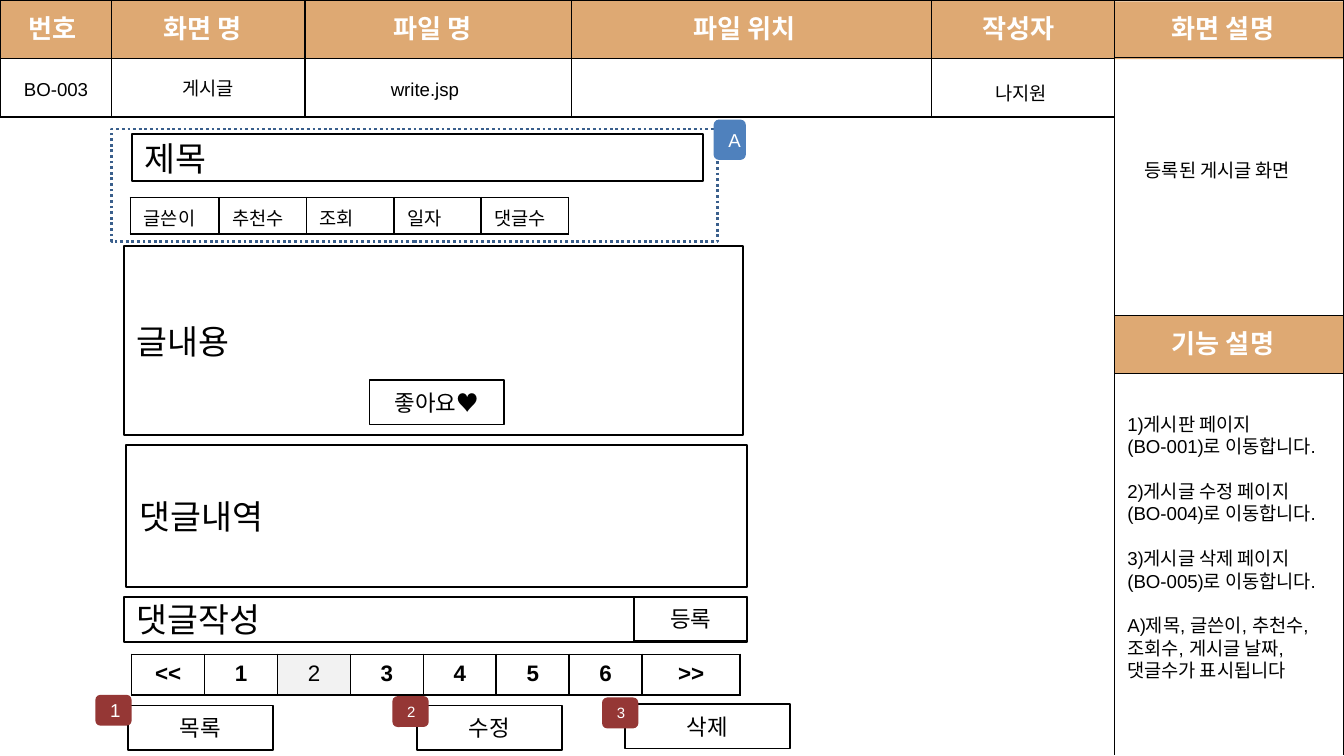
from itertools import accumulate

from lxml import etree
from pptx import Presentation
from pptx.dml.color import RGBColor
from pptx.enum.dml import MSO_LINE
from pptx.enum.shapes import MSO_SHAPE as SHAPE
from pptx.enum.text import MSO_ANCHOR as ANCHOR, PP_ALIGN as ALIGN
from pptx.oxml.ns import qn
from pptx.util import Inches, Pt

TAN, BLACK, WHITE = "DEA973", "000000", "FFFFFF"
GRAY, RED, BLUE, NAVY = "F2F2F2", "953735", "4F81BD", "3A5F8C"
KOREAN = "Noto Sans CJK KR"


def rgb(value):
    """Return the colour for a hex string."""
    return RGBColor.from_string(value)


def style(p, size, font="Arial", color=BLACK, bold=False, align=ALIGN.LEFT):
    """Format the runs of a paragraph."""
    p.alignment = align
    for r in p.runs:
        r.font.size, r.font.name, r.font.bold = Pt(size), font, bold
        r.font.color.rgb = rgb(color)


def paint(sp, fill=None, line=None, width=1):
    """Set the fill and the line of a shape."""
    sp.shadow.inherit = False
    if fill:
        sp.fill.solid()
        sp.fill.fore_color.rgb = rgb(fill)
    else:
        sp.fill.background()
    if line:
        sp.line.color.rgb = rgb(line)
        sp.line.width = Pt(width)
    else:
        sp.line.fill.background()


def add_box(s, box, text="", size=12, fill=WHITE, line=BLACK, width=1,
            kind=SHAPE.RECTANGLE, **text_style):
    """Add a preset shape with one line of text centred vertically."""
    sp = s.shapes.add_shape(kind, *map(Inches, box))
    paint(sp, fill, line, width)
    if text:
        tf = sp.text_frame
        tf.vertical_anchor = ANCHOR.MIDDLE
        tf.text = text
        style(tf.paragraphs[0], size, **text_style)
    return sp


def add_outline(s, contours, closed=False, **look):
    """Add one freeform made of several contours."""
    builder = None
    for contour in contours:
        start, *rest = [tuple(map(Inches, point)) for point in contour]
        if builder:
            builder.move_to(*start)
        else:
            builder = s.shapes.build_freeform(*start)
        builder.add_line_segments(rest, close=closed)
    paint(builder.convert_to_shape(), **look)


def add_bands(s, x, w, tops, h):
    """Add the tan heading bands of a region."""
    add_outline(s, [[(x, y), (x + w, y), (x + w, y + h), (x, y + h)]
                    for y in tops], True, fill=TAN)


def add_rules(s, box, columns, rows):
    """Add the vertical and the horizontal rules of a region."""
    x, y, w, h = box
    verticals = [[(left, y), (left, y + h)] for left in columns]
    horizontals = [[(x, top), (x + w, top)] for top in rows]
    for rules in (verticals, horizontals):
        add_outline(s, rules, line=BLACK, width=0.75)


def add_text(s, box, lines, gap=0, top=0.05):
    """Add a wrapped text box with a gap between its paragraphs."""
    tf = s.shapes.add_textbox(*map(Inches, box)).text_frame
    tf.word_wrap = True
    tf.margin_top = Inches(top)
    tf.text = "\n".join(lines)
    for i, p in enumerate(tf.paragraphs):
        style(p, 10)
        p.space_before = Pt(gap if i else 0)


def add_heading(s, box, text, indent=0.01):
    """Add a white heading without insets."""
    tf = s.shapes.add_textbox(*map(Inches, box)).text_frame
    tf.word_wrap = True
    tf.margin_left, tf.margin_top = Inches(indent), Inches(0.01)
    tf.margin_right = tf.margin_bottom = 0
    tf.text = text
    style(tf.paragraphs[0], 14, KOREAN, WHITE, True)


def add_field(s, box, text):
    """Add a large left-aligned field of the page."""
    add_box(s, box, text, 18, font="Calibri")


def add_button(s, box, text):
    """Add a button with a centred label."""
    add_box(s, box, text, 12, font="Calibri", align=ALIGN.CENTER)


def add_mark(s, box, text, size, fill=RED):
    """Add a rounded callout mark."""
    add_box(s, box, text, size, fill, None, kind=SHAPE.ROUNDED_RECTANGLE,
            color=WHITE, align=ALIGN.CENTER)


def add_border(cell):
    """Draw a thin black border on every side of a cell."""
    pr = cell._tc.get_or_add_tcPr()
    for i, side in enumerate(("lnL", "lnR", "lnT", "lnB")):
        ln = etree.Element(qn(f"a:{side}"), w=str(Pt(1)))
        fill = etree.SubElement(ln, qn("a:solidFill"))
        etree.SubElement(fill, qn("a:srgbClr"), val=BLACK)
        pr.insert(i, ln)


def add_row(s, box, labels, widths, size, current=None, bold=False, **text_style):
    """Add a one-row table, with the current cell shaded and not bold."""
    table = s.shapes.add_table(1, len(labels), *map(Inches, box)).table
    table.first_row = table.horz_banding = False
    for i, (label, width) in enumerate(zip(labels, widths)):
        table.columns[i].width = Inches(width)
        cell = table.cell(0, i)
        cell.text = label
        cell.fill.solid()
        cell.fill.fore_color.rgb = rgb(GRAY if label == current else WHITE)
        style(cell.text_frame.paragraphs[0], size,
              bold=bold and label != current, **text_style)
        add_border(cell)


def add_header(s, box):
    """Add the screen information grid across the top."""
    x, y, w, h = box
    add_bands(s, x, w, [y + 0.01], 0.43)
    columns = accumulate((0.83, 1.44, 1.98, 2.68, 1.36), initial=x)
    add_rules(s, box, columns, [y, y + h / 2, y + h])
    headings = ((0.2, 0.42, "번호", 0.01), (1.21, 0.67, "화면 명", 0.01),
                (2.92, 0.67, "파일 명", 0.01), (3.98, 2.63, "파일 위치", 1.18),
                (7.3, 0.61, "작성자", 0.01))
    for left, width, name, indent in headings:
        add_heading(s, (x + left, y + 0.08, width, 0.23), name, indent)
    values = ((0.08, 0.53, 0.75, "BO-003"), (1.26, 0.52, 1.42, "게시글"),
              (2.81, 0.53, 1.67, "write.jsp"), (7.31, 0.56, 1, "나지원"))
    for left, top, width, value in values:
        add_text(s, (x + left, y + top, width, 0.27), [value])


def add_side_panel(s, box):
    """Add the screen and function descriptions."""
    x, y, w, h = box
    second = y + 2.35
    add_bands(s, x, w, [y + 0.01, second], 0.43)
    add_rules(s, box, [x, x + w], [y, y + 0.43, second, second + 0.43])
    for top, title in ((y, "화면 설명"), (second, "기능 설명")):
        add_heading(s, (x + 0.42, top + 0.08, 0.87, 0.23), title)
    add_text(s, (x + 0.13, y + 1.13, 1.67, 0.27), ["등록된 게시글 화면"])
    add_text(s, (x, y + 2.85, 1.64, 2.63), [
        "1)게시판 페이지(BO-001)로 이동합니다.",
        "2)게시글 수정 페이지(BO-004)로 이동합니다.",
        "3)게시글 삭제 페이지(BO-005)로 이동합니다.",
        "A)제목, 글쓴이, 추천수, 조회수, 게시글 날짜, 댓글수가 표시됩니다"],
        gap=12, top=0.22)


def add_post(s, box):
    """Add the post title, its details and its body."""
    x, y, w, h = box
    add_field(s, (x + 0.15, y + 0.04, 4.25, 0.35), "제목")
    add_field(s, (x + 0.09, y + 0.87, 4.61, h - 0.87), "글내용")
    add_row(s, (x + 0.14, y + 0.51, 3.25, 0.27),
            ("글쓴이", "추천수", "조회", "일자", "댓글수"),
            [0.66] + [0.65] * 4, 10, font="Calibri")
    add_button(s, (x + 1.92, y + 1.87, 1, 0.33), "좋아요♥")
    frame = add_box(s, (x, y, 4.51, 0.84), fill=None, line=NAVY, width=1.5)
    frame.line.dash_style = MSO_LINE.ROUND_DOT
    add_mark(s, (x + 4.48, y - 0.07, 0.24, 0.3), "A", 10, BLUE)


def add_comments(s, box):
    """Add the comment list, the comment entry and the pager."""
    x, y, w, h = box
    add_field(s, (x, y + 1.13, w, 0.34), "댓글작성")
    add_field(s, (x + 0.02, y, w - 0.02, 1.06), "댓글내역")
    pager, last = 4.53, 0.73
    add_row(s, (x + 0.06, y + 1.56, pager, 0.3), ("<<", *"123456", ">>"),
            [(pager - last) / 7] * 7 + [last], 12, "2", True,
            align=ALIGN.CENTER)
    add_button(s, (x + w - 0.84, y + 1.13, 0.84, 0.33), "등록")


def add_actions(s, box):
    """Add the numbered buttons along the bottom."""
    x, y, w, h = box
    actions = ((0.24, 0.08, 1.08, "목록", 0, 0, 10),
               (2.39, 0.08, 1.08, "수정", 2.21, 0.01, 8),
               (3.94, 0.07, 1.23, "삭제", 3.77, 0.02, 8))
    for n, (left, top, width, label, mark_x, mark_y, size) in enumerate(actions, 1):
        add_button(s, (x + left, y + top, width, 0.33), label)
        add_mark(s, (x + mark_x, y + mark_y, 0.27, 0.23), str(n), size)


def main():
    """Build the screen specification slide."""
    prs = Presentation()
    prs.slide_width, prs.slide_height = Inches(10), Inches(5.625)
    s = prs.slides.add_slide(prs.slide_layouts[6])
    add_header(s, (0, 0, 8.29, 0.87))
    add_side_panel(s, (8.29, 0, 1.71, 5.62))
    add_post(s, (0.83, 0.96, 4.72, 2.28))
    add_comments(s, (0.92, 3.31, 4.64, 1.86))
    add_actions(s, (0.71, 5.17, 5.17, 0.41))
    prs.save("out.pptx")


if __name__ == "__main__":
    main()
